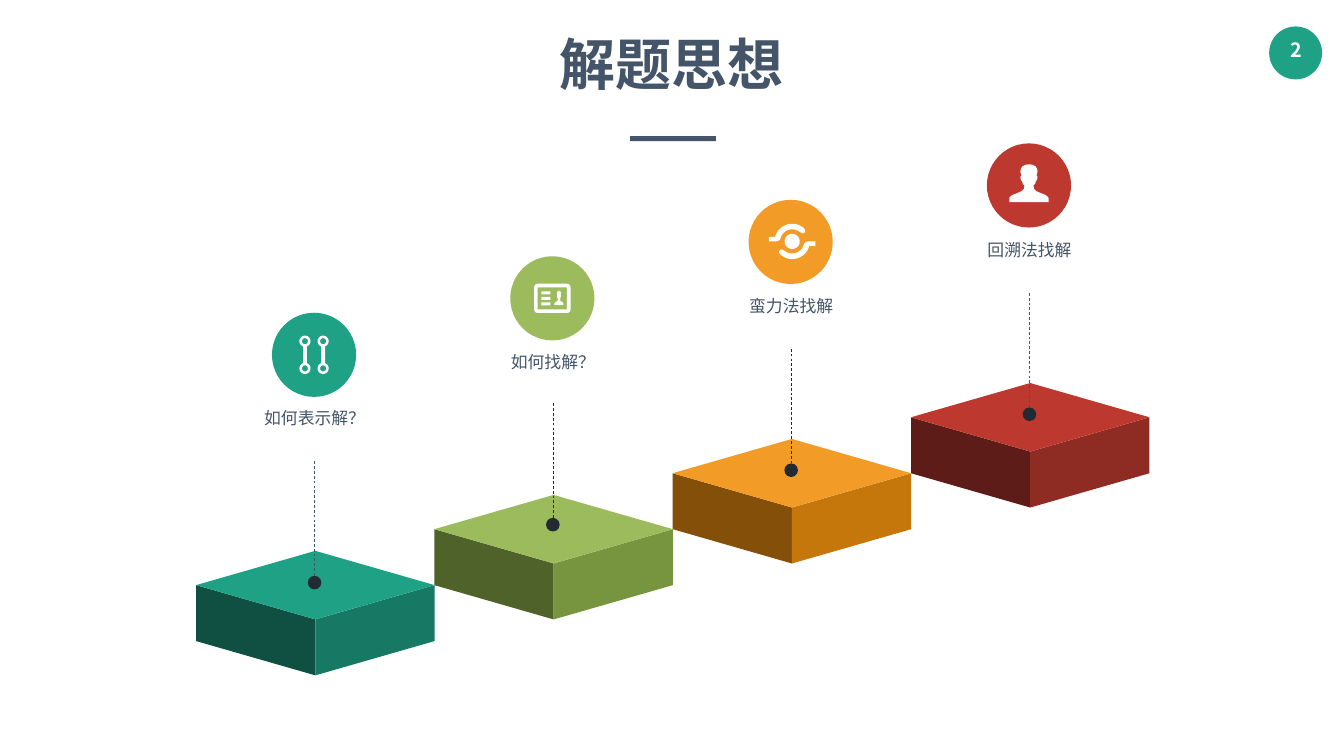
from math import cos, radians, sin

from pptx import Presentation
from pptx.dml.color import RGBColor
from pptx.enum.dml import MSO_LINE
from pptx.enum.shapes import MSO_CONNECTOR, MSO_SHAPE
from pptx.enum.text import MSO_ANCHOR, MSO_AUTO_SIZE, PP_ALIGN
from pptx.oxml.ns import qn
from pptx.util import Inches, Pt
from lxml.etree import SubElement

FONT = "Noto Sans CJK SC"
COLORS = {
    "slate": "445469", "ink": "222A34", "white": "FFFFFF",
    # top, left and right faces of each block
    "teal": "1EA185", "teal_left": "0F5043", "teal_right": "177964",
    "green": "9BBB5C", "green_left": "4F6229", "green_right": "77943E",
    "orange": "F29B26", "orange_left": "844F08", "orange_right": "C6770C",
    "red": "BD392F", "red_left": "5E1C18", "red_right": "8E2B23",
}


def color(name):
    return RGBColor.from_string(COLORS[name])


def write_text(tf, text, size=24, fill="slate", bold=False, line_spacing=None,
               space_before=None, insets=(0.2, 0.1), wrap=True):
    tf.word_wrap = wrap
    tf.auto_size = MSO_AUTO_SIZE.SHAPE_TO_FIT_TEXT
    tf.vertical_anchor = MSO_ANCHOR.TOP
    tf.margin_left = tf.margin_right = Inches(insets[0])
    tf.margin_top = tf.margin_bottom = Inches(insets[1])
    p = tf.paragraphs[0]
    p.alignment = PP_ALIGN.CENTER
    p.line_spacing = line_spacing
    if space_before is not None:
        p.space_before = Pt(space_before)
    r = p.add_run()
    r.text = text
    r.font.size, r.font.bold, r.font.name = Pt(size), bold, FONT
    r.font.color.rgb = color(fill)
    SubElement(r.font._element, qn("a:ea")).set("typeface", FONT)


# Icon outlines: lists of contours, in inches from the icon's centre.

def arc(cx, cy, radius, start=0, end=360, steps=24):
    angles = [radians(start + (end - start) * n / steps) for n in range(steps + 1)]
    return [(cx + radius * cos(a), cy + radius * sin(a)) for a in angles]


def scaled(points, sx, sy, dx=0, dy=0):
    return [(x * sx + dx, y * sy + dy) for x, y in points]


def box(left, top, right, bottom):
    return [(left, top), (right, top), (right, bottom), (left, bottom)]


def bust():
    half = [(0, -0.42), (0.07, -0.41), (0.13, -0.38), (0.16, -0.33), (0.17, -0.27),
            (0.15, -0.2), (0.17, -0.17), (0.16, -0.11), (0.14, -0.09), (0.12, -0.03),
            (0.09, 0), (0.1, 0.07), (0.14, 0.11), (0.23, 0.15), (0.33, 0.19),
            (0.38, 0.23), (0.39, 0.26), (0.39, 0.33)]
    return half + scaled(half[:0:-1], -1, 1)


def person_icon():
    return [bust()]


def links_icon():
    contours = []
    for x in (-0.18, 0.18):
        contours.append(arc(x, -0.27, 0.11, 110, 430) + arc(x, 0.27, 0.11, -70, 250))
        contours += [arc(x, y, 0.06) for y in (-0.27, 0.27)]
    return contours


def card_icon():
    corners = [(0.29, 0.22), (-0.29, 0.22), (-0.29, -0.22), (0.29, -0.22)]
    frame = [pt for n, (x, y) in enumerate(corners)
             for pt in arc(x, y, 0.07, 90 * n, 90 * n + 90, 6)]
    rows = [box(-0.22, y - 0.03, -0.04, y + 0.03) for y in (-0.11, 0, 0.11)]
    return [frame, box(-0.29, -0.22, 0.29, 0.22), *rows,
            scaled(bust(), 0.23, 0.38, 0.13, 0.01)]


def orbit_icon():
    swoosh = ([(-0.46, -0.09)] + arc(0, 0, 0.35, 195, 309)
              + arc(0.21, -0.21, 0.05, -45, 135, 8) + arc(0, 0, 0.24, 309, 192)
              + [(-0.26, -0.02), (-0.31, 0), (-0.46, 0)])
    return [scaled(contour, 1, 1, 0.03, -0.01)
            for contour in (arc(0, 0, 0.15), swoosh, scaled(swoosh, -1, -1))]


class Deck:
    """Holds the style and the slide being drawn."""

    def __init__(self, prs):
        self.s = prs.slides.add_slide(prs.slide_layouts[6])

    def paint(self, sp, fill):
        sp.shadow.inherit = False
        sp.fill.solid()
        sp.fill.fore_color.rgb = color(fill)
        sp.line.fill.background()
        return sp

    def shape(self, kind, left, top, width, height, fill):
        size = (Inches(v) for v in (left, top, width, height))
        return self.paint(self.s.shapes.add_shape(kind, *size), fill)

    def circle(self, cx, cy, diameter, fill):
        return self.shape(MSO_SHAPE.OVAL, cx - diameter / 2, cy - diameter / 2,
                          diameter, diameter, fill)

    def outline(self, contours, x, y, fill):
        """Draw closed contours, given relative to (x, y), as one freeform."""
        builder = None
        for contour in contours:
            pts = [(Inches(x + px), Inches(y + py)) for px, py in contour]
            if builder is None:
                builder = self.s.shapes.build_freeform(*pts[0])
            else:
                builder.move_to(*pts[0])
            builder.add_line_segments(pts[1:], close=True)
        return self.paint(builder.convert_to_shape(), fill)

    def text(self, text, left, top, width, height, **fmt):
        size = (Inches(v) for v in (left, top, width, height))
        write_text(self.s.shapes.add_textbox(*size).text_frame, text, **fmt)

    def block(self, left, top, hue):
        mid, right = 2.365, 4.73
        back, front, depth = 0.68, 1.36, 1.11
        left_face = [(0, back), (mid, front), (mid, front + depth), (0, back + depth)]
        right_face = scaled(left_face, -1, 1, right)
        top_face = [(0, back), (mid, 0), (right, back), (mid, front)]
        for face, fill in ((left_face, hue + "_left"), (right_face, hue + "_right"),
                           (top_face, hue)):
            self.outline([face], left, top, fill)

    def pin(self, cx, cy, line):
        """Draw a dot with a dashed line rising from its top."""
        dot = self.circle(cx, cy, 0.27, "ink")
        foot = cy - 0.135
        stem = self.s.shapes.add_connector(
            MSO_CONNECTOR.STRAIGHT, Inches(cx), Inches(foot), Inches(cx), Inches(foot - 2.31))
        stem.begin_connect(dot, 0)
        stem.line.color.rgb = color(line)
        stem.line.width = Pt(1)
        stem.line.dash_style = MSO_LINE.DASH
        SubElement(stem._element.spPr, qn("a:effectLst"))

    def badge(self, cx, cy, hue, icon):
        self.circle(cx, cy, 1.67, hue)
        self.outline(icon(), cx, cy, "white")


def main():
    prs = Presentation()
    prs.slide_width, prs.slide_height = Inches(26.66), Inches(15)
    deck = Deck(prs)

    deck.circle(25.7, 1.05, 1.05, "teal")
    deck.text("2", 25.24, 0.66, 0.95, 0.67, size=28, fill="white", bold=True, wrap=False)
    deck.text("解题思想", 6.57, 0.53, 13.52, 1.45, size=80, bold=True, insets=(0.1, 0.05))
    deck.shape(MSO_SHAPE.RECTANGLE, 12.5, 2.7, 1.7, 0.1, "slate")

    # hue, label, icon, height of the dot, colour of the dashed line
    steps = [
        ("teal", "如何表示解？", links_icon, 11.56, "slate"),
        ("green", "如何找解？", card_icon, 10.41, "ink"),
        ("orange", "蛮力法找解", orbit_icon, 9.33, "ink"),
        ("red", "回溯法找解", person_icon, 8.22, "slate"),
    ]
    for n, (hue, label, icon, dot_y, line) in enumerate(steps):
        left, top = 3.89 + 4.727 * n, 10.93 - 1.11 * n
        deck.block(left, top, hue)
        deck.pin(left + 2.35, dot_y, line)
        deck.badge(left + 2.34, 7.04 - 1.12 * n, hue, icon)
        deck.text(label, left - 0.04, top - 3.03, 4.78, 0.65,
                  line_spacing=1.2, space_before=17)

    prs.save("out.pptx")


if __name__ == "__main__":
    main()
